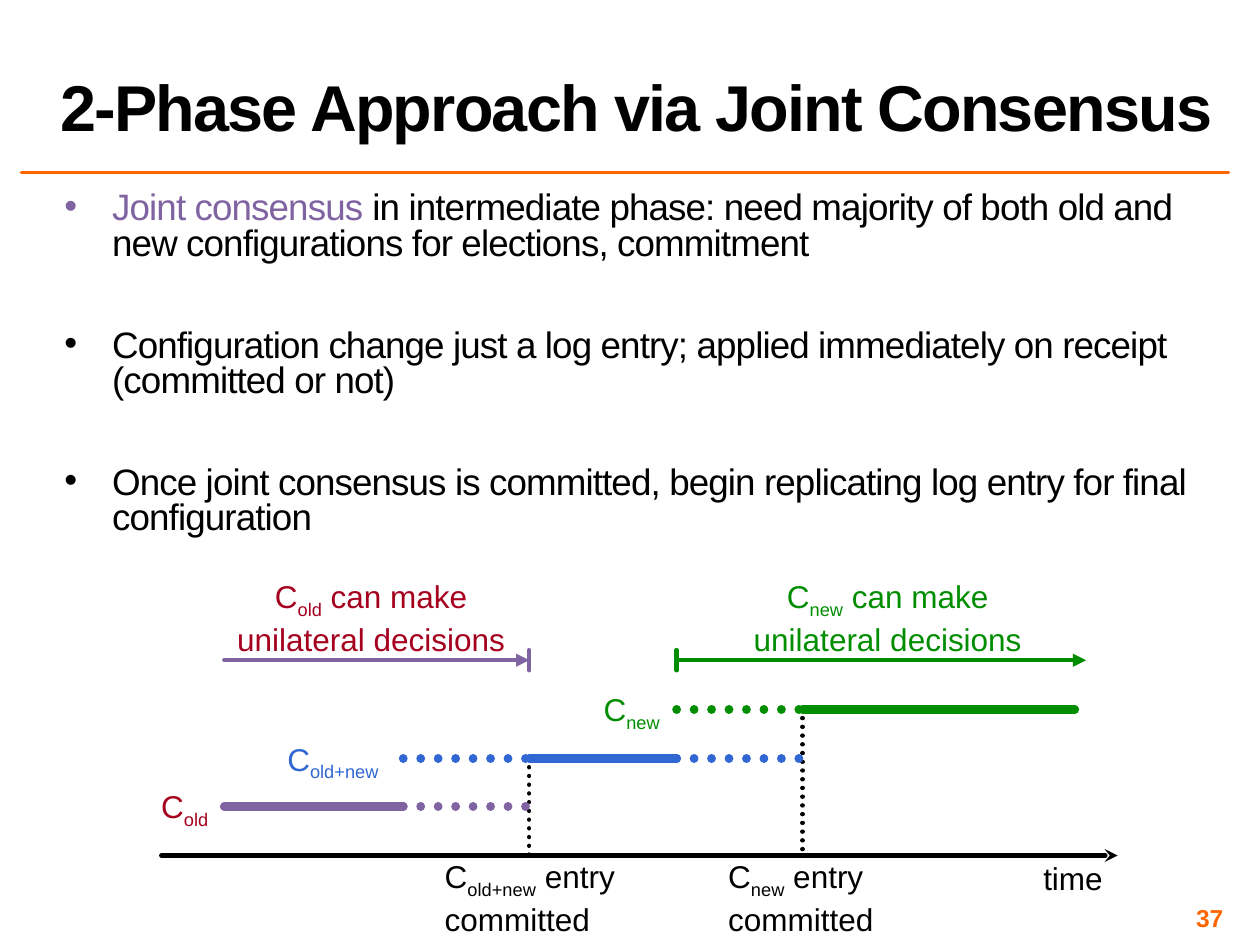
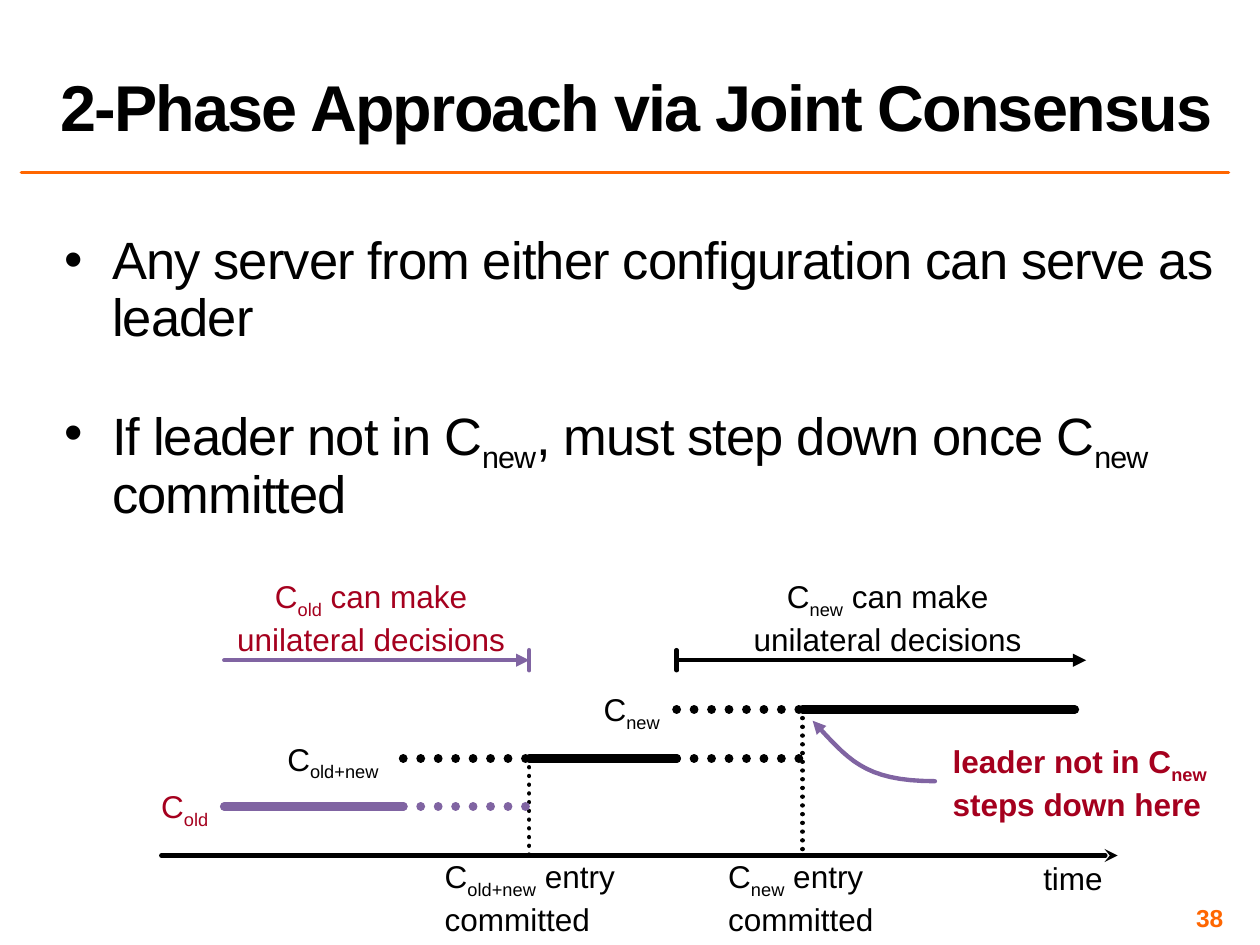
"""Build two slides on the two-phase joint consensus approach with its timeline."""
from dataclasses import dataclass

from lxml.etree import SubElement
from pptx import Presentation
from pptx.dml.color import RGBColor
from pptx.enum.dml import MSO_LINE
from pptx.enum.shapes import MSO_CONNECTOR
from pptx.enum.text import MSO_ANCHOR, MSO_AUTO_SIZE, PP_ALIGN
from pptx.oxml.ns import qn
from pptx.util import Inches, Pt


@dataclass(frozen=True)
class Theme:
    font: str = "Arial"
    black: str = "000000"
    orange: str = "FF6600"
    purple: str = "8064A2"
    red: str = "A5001E"
    blue: str = "3167D3"
    green: str = "008E00"
    title_size: int = 37
    label_size: int = 18
    number_size: int = 14
    rule: float = 2
    thin: float = 2.5
    thick: float = 5


theme = Theme()
SUBSCRIPT = {"baseline": "-25000"}


def write(slide, box, text, size, color, bold=False, inset=0, wrap=False, anchor=MSO_ANCHOR.TOP,
          paragraph_format=None, spacing=0, marked=SUBSCRIPT, marked_color=None, bullet=False):
    """Write lines of text; the pieces between bars take the marked format."""
    frame = slide.shapes.add_textbox(*map(Inches, box)).text_frame
    insets = inset if isinstance(inset, tuple) else (inset, inset)
    frame_format = {
        "margin_left": Inches(insets[0]), "margin_right": Inches(insets[0]),
        "margin_top": Inches(insets[1]), "margin_bottom": Inches(insets[1]),
        "word_wrap": wrap, "vertical_anchor": anchor,
        "auto_size": MSO_AUTO_SIZE.NONE if wrap else MSO_AUTO_SIZE.SHAPE_TO_FIT_TEXT,
    }
    for name, value in frame_format.items():
        setattr(frame, name, value)
    for index, line in enumerate(text.split("\n")):
        paragraph = frame.add_paragraph() if index else frame.paragraphs[0]
        for name, value in (paragraph_format or {}).items():
            setattr(paragraph, name, value)
        if bullet:
            properties = paragraph._p.get_or_add_pPr()
            properties.set("marL", str(Inches(0.38)))
            properties.set("indent", str(Inches(-0.38)))
            SubElement(properties, qn("a:buFont"), typeface=theme.font)
            SubElement(properties, qn("a:buChar"), char="•")
        for position, piece in enumerate(line.split("|")):
            if not piece:
                continue
            is_marked = position % 2 == 1
            run = paragraph.add_run()
            run.text = piece
            for name, value in {"name": theme.font, "size": Pt(size), "bold": bold}.items():
                setattr(run.font, name, value)
            run_color = marked_color if is_marked and marked_color else color
            run.font.color.rgb = RGBColor.from_string(run_color)
            attributes = {"spc": str(int(spacing * 100))} | (marked if is_marked else {})
            for name, value in attributes.items():
                run._r.get_or_add_rPr().set(name, value)


def style_line(shape, color, width, dotted=False, head=None):
    """Format an outline with round ends, dots and an arrowhead."""
    shape.line.color.rgb = RGBColor.from_string(color)
    shape.line.width = Pt(width)
    if dotted:
        shape.line.dash_style = MSO_LINE.ROUND_DOT
    line = shape.line._get_or_add_ln()
    line.set("cap", "rnd")
    SubElement(line, qn("a:round"))
    if head:
        SubElement(line, qn("a:tailEnd"), type=head)
    if shape._element.spPr.find(qn("a:effectLst")) is None:
        SubElement(shape._element.spPr, qn("a:effectLst"))


pages = [
    {
        "number": "37", "joint": theme.blue, "new": theme.green,
        "box": (0.47, 1.49, 9.28, 2.83), "size": 21, "line_spacing": 0.8,
        "space_before": 30, "marked": {}, "marked_color": theme.purple,
        "bullets": "|Joint consensus |in intermediate phase: need majority of both old and "
                   "new configurations for elections, commitment\n"
                   "Configuration change just a log entry; applied immediately on receipt "
                   "(committed or not)\n"
                   "Once joint consensus is committed, begin replicating log entry for final "
                   "configuration",
    },
    {
        "number": "38", "joint": theme.black, "new": theme.black,
        "box": (0.47, 1.82, 9.53, 2.51), "size": 30, "line_spacing": 0.9,
        "space_before": 24, "marked": SUBSCRIPT, "marked_color": None,
        "bullets": "Any server from either configuration can serve as leader\n"
                   "If leader not in C|new|, must step down once C|new |committed",
    },
]

old_start, joint_start, joint_commit, new_start, new_commit = 1.78, 3.2, 4.2, 5.37, 6.37
decision_y, new_y, joint_y, old_y, axis_y = 5.24, 5.63, 6.02, 6.4, 6.79
tick = 0.08

presentation = Presentation()
presentation.slide_width, presentation.slide_height = Inches(10), Inches(7.5)

for page in pages:
    slide = presentation.slides.add_slide(presentation.slide_layouts[6])
    joint, new = page["joint"], page["new"]

    write(slide, (0.38, 0.02, 9.62, 1.17), "2-Phase Approach via Joint Consensus",
          theme.title_size, theme.black, bold=True, inset=(0.1, 0.05), wrap=True,
          anchor=MSO_ANCHOR.BOTTOM, paragraph_format={"line_spacing": 0.8}, spacing=-1)
    write(slide, page["box"], page["bullets"], page["size"], theme.black, inset=0.04, wrap=True,
          paragraph_format={"line_spacing": page["line_spacing"], "space_after": Pt(8),
                            "space_before": Pt(page["space_before"])},
          spacing=-0.5, marked=page["marked"], marked_color=page["marked_color"], bullet=True)
    write(slide, (7.42, 7.17, 2.33, 0.23), page["number"], theme.number_size, theme.orange,
          bold=True, inset=0.04, wrap=True, anchor=MSO_ANCHOR.MIDDLE,
          paragraph_format={"alignment": PP_ALIGN.RIGHT})

    lines = [
        (0.17, 1.37, 9.75, 1.37, theme.orange, theme.rule, False, None),
        (1.28, axis_y, 8.87, axis_y, theme.black, theme.thin, False, "stealth"),
        (joint_commit, joint_y, joint_commit, axis_y, theme.black, theme.thin, True, None),
        (new_commit, new_y, new_commit, axis_y, theme.black, theme.thin, True, None),
        (old_start, old_y, joint_start, old_y, theme.purple, theme.thick, False, None),
        (joint_start, old_y, joint_commit, old_y, theme.purple, theme.thick, True, None),
        (joint_start, joint_y, joint_commit, joint_y, joint, theme.thick, True, None),
        (joint_commit, joint_y, new_start, joint_y, joint, theme.thick, False, None),
        (new_start, joint_y, new_commit, joint_y, joint, theme.thick, True, None),
        (new_start, new_y, new_commit, new_y, new, theme.thick, True, None),
        (new_commit, new_y, 8.53, new_y, new, theme.thick, False, None),
    ]
    for start, end, limit, color in [(old_start, joint_commit, joint_commit, theme.purple),
                                     (new_start, 8.62, new_start, new)]:
        lines += [
            (start, decision_y, end, decision_y, color, theme.thin, False, "triangle"),
            (limit, decision_y - tick, limit, decision_y + tick, color, theme.thin, False, None),
        ]
    for *ends, color, width, dotted, head in lines:
        connector = slide.shapes.add_connector(MSO_CONNECTOR.STRAIGHT, *map(Inches, ends))
        style_line(connector, color, width, dotted, head)

    labels = [
        ((8.28, 6.82, 0.48, 0.3), "time", theme.black, PP_ALIGN.LEFT),
        ((3.53, 6.8, 1.44, 0.61), "C|old+new| entry\ncommitted", theme.black, PP_ALIGN.LEFT),
        ((5.78, 6.8, 1.16, 0.61), "C|new| entry\ncommitted", theme.black, PP_ALIGN.LEFT),
        ((1.28, 6.25, 0.4, 0.3), "C|old", theme.red, PP_ALIGN.LEFT),
        ((2.28, 5.87, 0.81, 0.3), "C|old+new", joint, PP_ALIGN.LEFT),
        ((4.79, 5.48, 0.49, 0.3), "C|new", new, PP_ALIGN.LEFT),
    ]
    for left, name, color in [(1.87, "old", theme.red), (5.97, "new", new)]:
        labels.append(((left, 4.58, 2.15, 0.61), f"C|{name}| can make\nunilateral decisions",
                       color, PP_ALIGN.CENTER))
    for box, text, color, alignment in labels:
        write(slide, box, text, theme.label_size, color,
              paragraph_format={"alignment": alignment})

write(slide, (7.56, 5.89, 2.08, 0.61), "leader not in C|new|\nsteps down here",
      theme.label_size, theme.red, bold=True)

controls = [(7.42, 6.2), (6.85, 6.2), (6.73, 6.02), (6.45, 5.72)]
steps = 16
curve = []
for step in range(steps + 1):
    t = step / steps
    weights = [(1 - t) ** 3, 3 * t * (1 - t) ** 2, 3 * t ** 2 * (1 - t), t ** 3]
    curve.append(tuple(Inches(sum(weight * point[axis] for weight, point in zip(weights, controls)))
                       for axis in (0, 1)))
builder = slide.shapes.build_freeform(*curve[0])
builder.add_line_segments(curve[1:], close=False)
step_down_arrow = builder.convert_to_shape()
step_down_arrow.fill.background()
style_line(step_down_arrow, theme.purple, theme.thin, head="triangle")

presentation.save("out.pptx")
